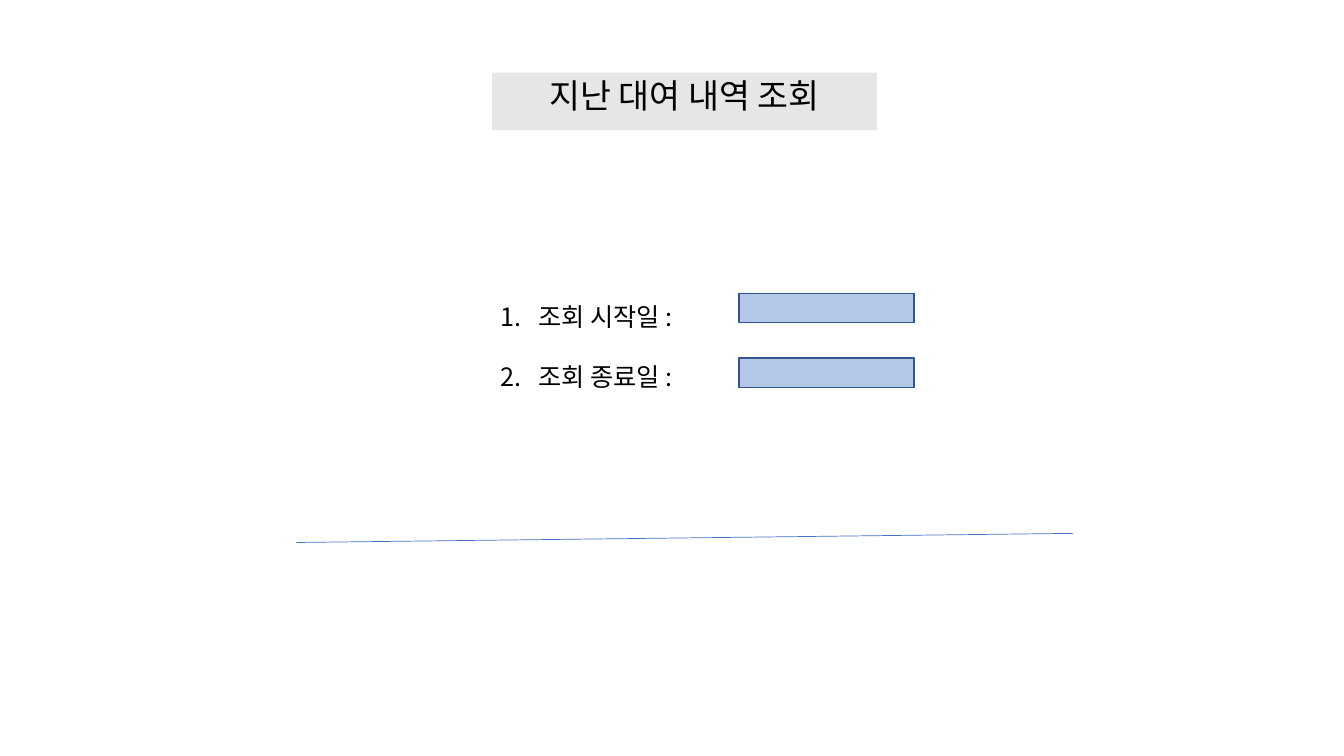
from dataclasses import dataclass

from lxml.etree import SubElement
from pptx import Presentation
from pptx.dml.color import RGBColor as Rgb
from pptx.enum.shapes import MSO_CONNECTOR as Connector, MSO_SHAPE as Preset
from pptx.enum.text import MSO_ANCHOR as Anchor, PP_ALIGN as Align
from pptx.oxml.ns import qn
from pptx.util import Cm, Pt

COLORS = {
    "text": "000000",
    "banner": "E7E6E6",
    "field": "B4C7E7",
    "field_edge": "325491",
    "divider": "4472C4",
}
FONT = "Noto Sans CJK KR"
NUMBER_INDENT = Cm(0.95)


@dataclass(frozen=True)
class DateField:
    label: str
    top: float


DATE_FIELDS = (
    DateField("조회 시작일 :", 7.39),
    DateField("조회 종료일 :", 9.02),
)


def color(name: str) -> Rgb:
    return Rgb.from_string(COLORS[name])


def add_box(slide, left: float, top: float, width: float, height: float, fill: str):
    box = slide.shapes.add_shape(
        Preset.RECTANGLE, Cm(left), Cm(top), Cm(width), Cm(height))
    box.shadow.inherit = False
    box.fill.solid()
    box.fill.fore_color.rgb = color(fill)
    box.line.fill.background()
    return box


def style_text(paragraph, size: float, line_height: float) -> None:
    paragraph.line_spacing = Pt(line_height)
    for run in paragraph.runs:
        run.font.size = Pt(size)
        run.font.name = FONT
        run.font.color.rgb = color("text")
        SubElement(run.font._element, qn("a:ea"), typeface=FONT)


def number_paragraph(paragraph) -> None:
    properties = paragraph._p.get_or_add_pPr()
    properties.set("marL", str(NUMBER_INDENT))
    properties.set("indent", str(-NUMBER_INDENT))
    SubElement(properties, qn("a:buFont"), typeface=FONT)
    SubElement(properties, qn("a:buAutoNum"), type="arabicPeriod")


def add_title(slide) -> None:
    banner = add_box(slide, 12.4, 1.83, 9.7, 1.45, "banner")
    banner.text_frame.text = "지난 대여 내역 조회"
    banner.text_frame.vertical_anchor = Anchor.TOP
    title = banner.text_frame.paragraphs[0]
    title.alignment = Align.CENTER
    style_text(title, 24, 27)


def add_labels(slide) -> None:
    labels = slide.shapes.add_textbox(Cm(12.37), Cm(7.39), Cm(9.42), Cm(2.57))
    frame = labels.text_frame
    frame.word_wrap = True
    frame.text = "\n".join(field.label for field in DATE_FIELDS)
    for paragraph in frame.paragraphs:
        number_paragraph(paragraph)
        style_text(paragraph, 18, 24)
    for paragraph in frame.paragraphs[1:]:
        paragraph.space_before = Pt(18.9)


def add_divider(slide) -> None:
    divider = slide.shapes.add_connector(
        Connector.STRAIGHT, Cm(7.47), Cm(13.67), Cm(27.05), Cm(13.44))
    divider.line.color.rgb = color("divider")
    divider.line.width = Pt(0.5)
    SubElement(divider._element.spPr, qn("a:effectLst"))


def add_date_input(slide, field: DateField) -> None:
    entry = add_box(slide, 18.62, field.top, 4.42, 0.74, "field")
    entry.line.color.rgb = color("field_edge")
    entry.line.width = Pt(1)


def main() -> None:
    deck = Presentation()
    deck.slide_width, deck.slide_height = Cm(33.87), Cm(19.05)
    slide = deck.slides.add_slide(deck.slide_layouts[6])
    add_title(slide)
    add_labels(slide)
    add_divider(slide)
    for field in DATE_FIELDS:
        add_date_input(slide, field)
    deck.save("out.pptx")


if __name__ == "__main__":
    main()
